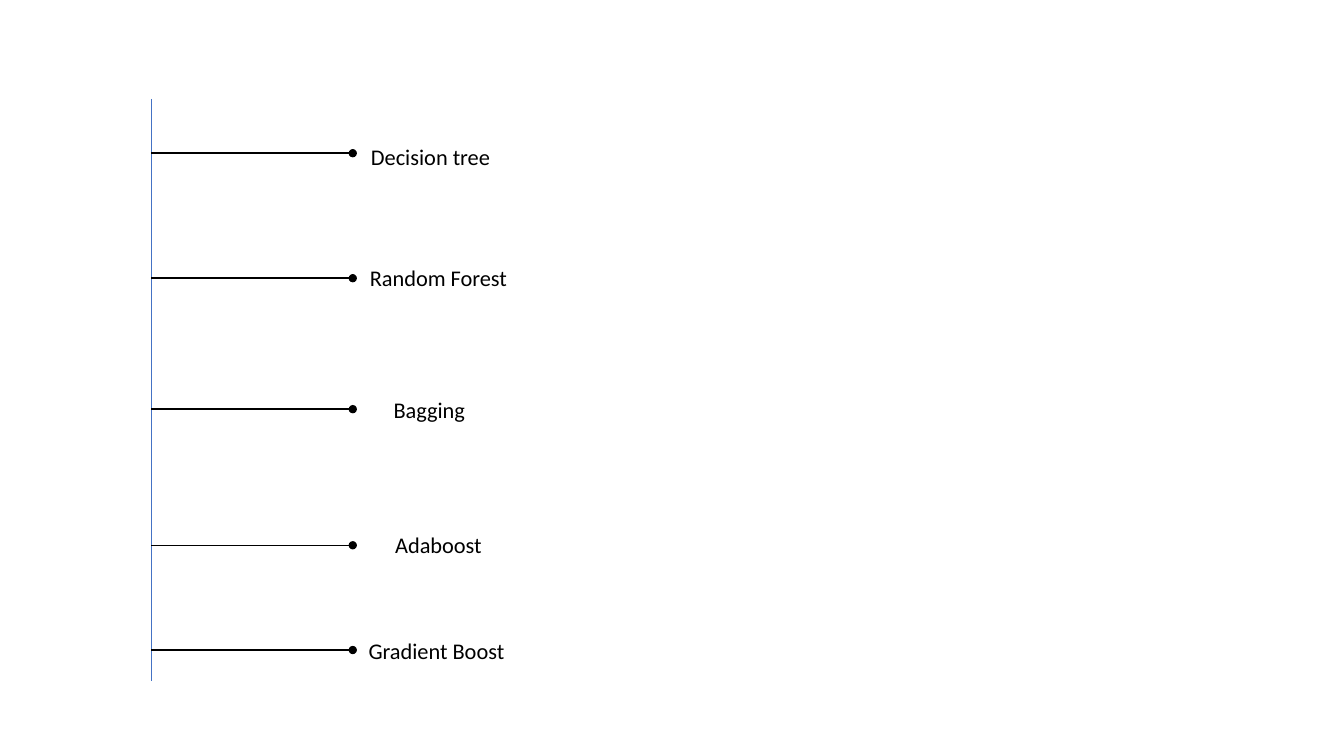
from lxml.etree import SubElement
from pptx import Presentation
from pptx.dml.color import RGBColor as RGB
from pptx.enum.shapes import MSO_CONNECTOR as Conn
from pptx.enum.text import MSO_AUTO_SIZE as Fit, PP_ALIGN as Align
from pptx.oxml.ns import qn
from pptx.util import Cm, Pt

COLORS = {"trunk": "4472C4", "ink": "000000"}
TRUNK_X, TIP_X = 3.81, 8.89
TRUNK_TOP, TRUNK_END = 2.49, 17.17
LABEL_W, LABEL_H = 4.32, 0.94

# name, branch height, label left, label top
METHODS = [
    ("Decision tree", 3.86, 8.69, 3.48),
    ("Random Forest", 7.01, 8.89, 6.53),
    ("Bagging", 10.31, 8.66, 9.86),
    ("Adaboost", 13.74, 8.89, 13.26),
    ("Gradient Boost", 16.38, 8.84, 15.93),
]


def add_line(slide, start, end, color, width):
    ends = [Cm(v) for v in (*start, *end)]
    line = slide.shapes.add_connector(Conn.STRAIGHT, *ends)
    line.line.color.rgb = RGB.from_string(COLORS[color])
    line.line.width = Pt(width)
    SubElement(line._element.spPr, qn("a:effectLst"))
    return line


def add_branch(slide, y):
    """Draw a line from the trunk that ends in a dot."""
    branch = add_line(slide, (TRUNK_X, y), (TIP_X, y), "ink", 1)
    ln = branch.line._get_or_add_ln()
    SubElement(ln, qn("a:tailEnd"), type="oval")


def add_label(slide, text, left, top):
    box = slide.shapes.add_textbox(Cm(left), Cm(top), Cm(LABEL_W), Cm(LABEL_H))
    frame = box.text_frame
    frame.text = text
    frame.word_wrap = True
    frame.auto_size = Fit.SHAPE_TO_FIT_TEXT
    par = frame.paragraphs[0]
    par.alignment = Align.CENTER
    font = par.runs[0].font
    font.name = "Calibri"
    font.size = Pt(16)
    font.color.rgb = RGB.from_string(COLORS["ink"])


def main():
    deck = Presentation()
    deck.slide_width, deck.slide_height = Cm(33.87), Cm(19.05)
    slide = deck.slides.add_slide(deck.slide_layouts[6])
    add_line(slide, (TRUNK_X, TRUNK_TOP), (TRUNK_X, TRUNK_END), "trunk", 0.5)
    for name, y, left, top in METHODS:
        add_branch(slide, y)
        add_label(slide, name, left, top)
    deck.save("out.pptx")


if __name__ == "__main__":
    main()
